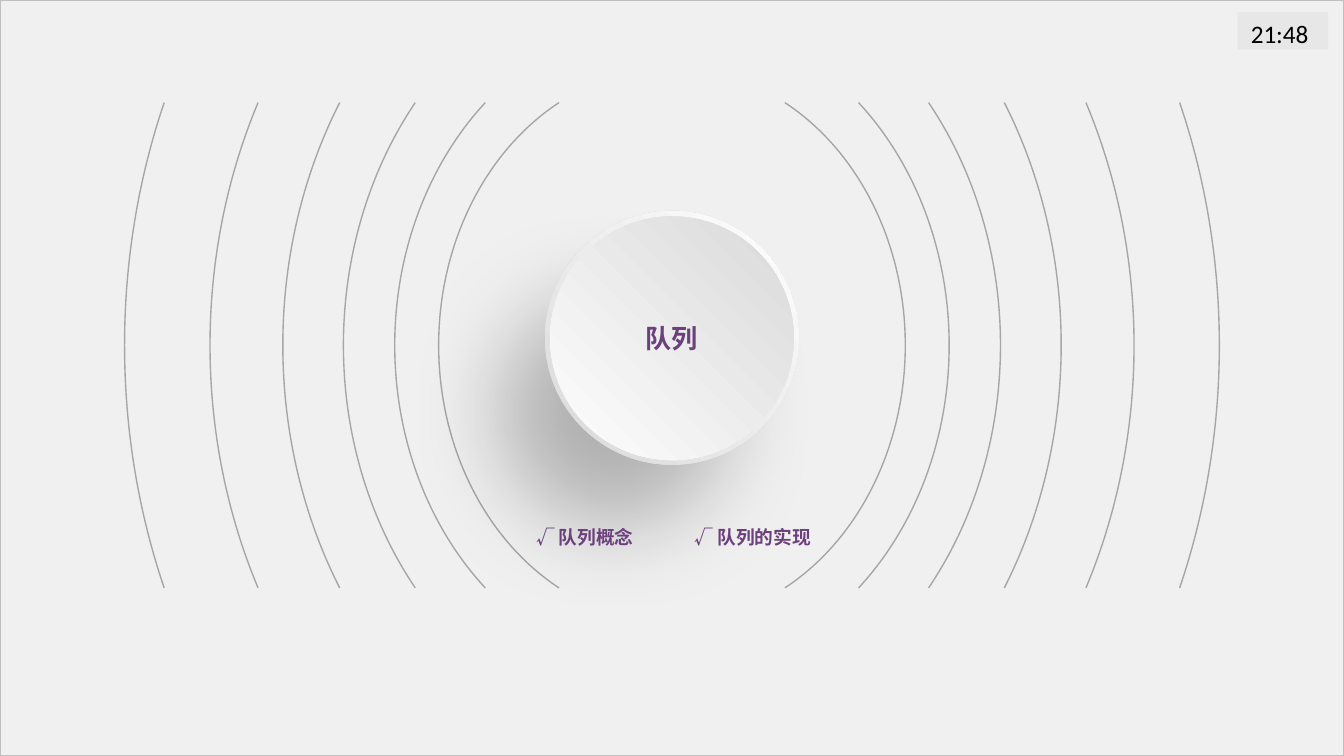
import math

import pptx
import pptx.dml.color
import pptx.enum.shapes
import pptx.enum.text
import pptx.oxml.ns
import pptx.util
from lxml import etree

Pt = pptx.util.Pt
RGBColor = pptx.dml.color.RGBColor
MSO_SHAPE = pptx.enum.shapes.MSO_SHAPE
MSO_ANCHOR = pptx.enum.text.MSO_ANCHOR
MSO_AUTO_SIZE = pptx.enum.text.MSO_AUTO_SIZE
PP_ALIGN = pptx.enum.text.PP_ALIGN
qn = pptx.oxml.ns.qn

PANEL = RGBColor(0xD9, 0xD9, 0xD9)
BORDER = RGBColor(0xBF, 0xBF, 0xBF)
ARC = RGBColor(0xA6, 0xA6, 0xA6)
PURPLE = RGBColor(0x6C, 0x40, 0x7D)
BLACK = RGBColor(0, 0, 0)
WHITE = RGBColor(0xFF, 0xFF, 0xFF)
NEAR_WHITE = RGBColor(0xFE, 0xFE, 0xFE)

LATIN_FONT = "Calibri"
CHINESE_FONT = "Noto Sans CJK SC"
PAGE_WIDTH, PAGE_HEIGHT = 720, 405
CENTER_X, ARC_CENTER_Y, ARC_HALF_HEIGHT = 360, 185, 130
RIPPLES = [(60.5, 125), (100, 148.5), (137.5, 176),
           (178, 208.5), (221.75, 247.5), (272, 293.25)]
TOPICS = [("√ 队列概念", 282.25, 80.5), ("√ 队列的实现", 367.25, 78)]


def add_panel(shapes, left, top, width, height):
    panel = shapes.add_shape(MSO_SHAPE.RECTANGLE, Pt(left), Pt(top), Pt(width), Pt(height))
    panel.shadow.inherit = False
    panel.fill.solid()
    panel.fill.fore_color.rgb = PANEL
    color = panel.fill._xPr.find(qn("a:solidFill"))[0]
    etree.SubElement(color, qn("a:alpha"), val="39000")
    panel.line.fill.background()
    return panel


def write_text(shape, text, size, font, color, bold=False):
    para = shape.text_frame.paragraphs[0]
    para.text = text
    para.alignment = PP_ALIGN.LEFT
    span = para.runs[0]
    span.font.size = Pt(size)
    span.font.bold = bold
    span.font.name = font
    span.font.color.rgb = color
    etree.SubElement(span.font._element, qn("a:ea"), typeface=font)
    return para


def curve_lines(shape, handles):
    lines = list(shape._element.iter(qn("a:lnTo")))
    for line, pair in zip(lines, handles):
        curve = etree.Element(qn("a:cubicBezTo"))
        for x, y in pair:
            etree.SubElement(curve, qn("a:pt"), x=str(Pt(x) - shape.left),
                             y=str(Pt(y) - shape.top))
        curve.append(line[0])
        line.getparent().replace(line, curve)


def add_ripple(shapes, tip, reach):
    limit = math.acos(tip / reach)
    radius = ARC_HALF_HEIGHT / math.sin(limit)
    pull = 4 / 3 * math.tan(limit / 4)
    bend = tip + pull * reach * math.sin(limit)
    bend_height = ARC_HALF_HEIGHT - pull * radius * math.cos(limit)

    def place(side, x, y):
        return CENTER_X + side * x, ARC_CENTER_Y + side * y

    ends, handles = [], []
    for side in (1, -1):
        ends.append([place(side, tip, -ARC_HALF_HEIGHT), place(side, reach, 0),
                     place(side, tip, ARC_HALF_HEIGHT)])
        handles.append([place(side, bend, -bend_height), place(side, reach, -pull * radius)])
        handles.append([place(side, reach, pull * radius), place(side, bend, bend_height)])

    right, left = [[(Pt(x), Pt(y)) for x, y in points] for points in ends]
    builder = shapes.build_freeform(*right[0])
    builder.add_line_segments(right[1:], close=False)
    builder.move_to(*left[0])
    builder.add_line_segments(left[1:], close=False)
    ripple = builder.convert_to_shape()
    curve_lines(ripple, handles)
    ripple.shadow.inherit = False
    ripple.fill.background()
    ripple.line.color.rgb = ARC
    ripple.line.width = Pt(0.75)


def add_disc(shapes, left, top, diameter, start, end):
    disc = shapes.add_shape(MSO_SHAPE.OVAL, Pt(left), Pt(top), Pt(diameter), Pt(diameter))
    disc.shadow.inherit = False
    disc.line.fill.background()
    disc.fill.gradient()
    for stop, color, position in zip(disc.fill.gradient_stops, (start, end), (0, 1)):
        stop.color.rgb = color
        stop.position = position
    gradient = disc.fill._xPr.find(qn("a:gradFill"))
    circle = etree.Element(qn("a:path"), {"path": "circle"})
    etree.SubElement(circle, qn("a:fillToRect"), l="100000", b="100000")
    gradient.replace(gradient.find(qn("a:lin")), circle)
    return disc


def cast_shadow(shape, blur, distance, degrees, opacity, scale):
    effects = shape.fill._xPr.find(qn("a:effectLst"))
    size = str(scale * 1000)
    shadow = etree.SubElement(
        effects, qn("a:outerShdw"), blurRad=str(Pt(blur)), dist=str(Pt(distance)),
        dir=str(degrees * 60000), sx=size, sy=size, algn="tr", rotWithShape="0")
    color = etree.SubElement(shadow, qn("a:srgbClr"), val=str(BLACK))
    etree.SubElement(color, qn("a:alpha"), val=str(opacity * 1000))


def add_button(shapes, text):
    group = shapes.add_group_shape()
    rim = add_disc(group.shapes, 292, 113, 136, WHITE, PANEL)
    cast_shadow(rim, 50, 60, 130, 25, 90)
    face = add_disc(group.shapes, 294.75, 116, 130.5, PANEL, NEAR_WHITE)
    frame = face.text_frame
    frame.margin_left = frame.margin_right = 0
    frame.vertical_anchor = MSO_ANCHOR.MIDDLE
    write_text(face, text, 14, CHINESE_FONT, PURPLE, True).alignment = PP_ALIGN.CENTER


def add_topic(shapes, text, left, width):
    box = shapes.add_textbox(Pt(left), Pt(279), Pt(width), Pt(17.5))
    frame = box.text_frame
    frame.word_wrap = True
    frame.auto_size = MSO_AUTO_SIZE.SHAPE_TO_FIT_TEXT
    frame.margin_left = frame.margin_right = Pt(5)
    frame.margin_top = frame.margin_bottom = Pt(2.5)
    write_text(box, text, 10, CHINESE_FONT, PURPLE, True)


def add_clock(shapes, text):
    clock = add_panel(shapes, 663, 6.5, 48.5, 20)
    frame = clock.text_frame
    frame.word_wrap = False
    frame.auto_size = MSO_AUTO_SIZE.SHAPE_TO_FIT_TEXT
    frame.vertical_anchor = MSO_ANCHOR.TOP
    write_text(clock, text, 13.5, LATIN_FONT, BLACK)


def main():
    deck = pptx.Presentation()
    deck.slide_width, deck.slide_height = Pt(PAGE_WIDTH), Pt(PAGE_HEIGHT)
    page = deck.slides.add_slide(deck.slide_layouts[6])
    backdrop = add_panel(page.shapes, 0, 0, PAGE_WIDTH, PAGE_HEIGHT)
    backdrop.line.color.rgb = BORDER
    backdrop.line.width = Pt(1)
    add_clock(page.shapes, "21:48")
    for tip, reach in RIPPLES:
        add_ripple(page.shapes, tip, reach)
    add_button(page.shapes, "队列")
    for text, left, width in TOPICS:
        add_topic(page.shapes, text, left, width)
    deck.save("out.pptx")


if __name__ == "__main__":
    main()
